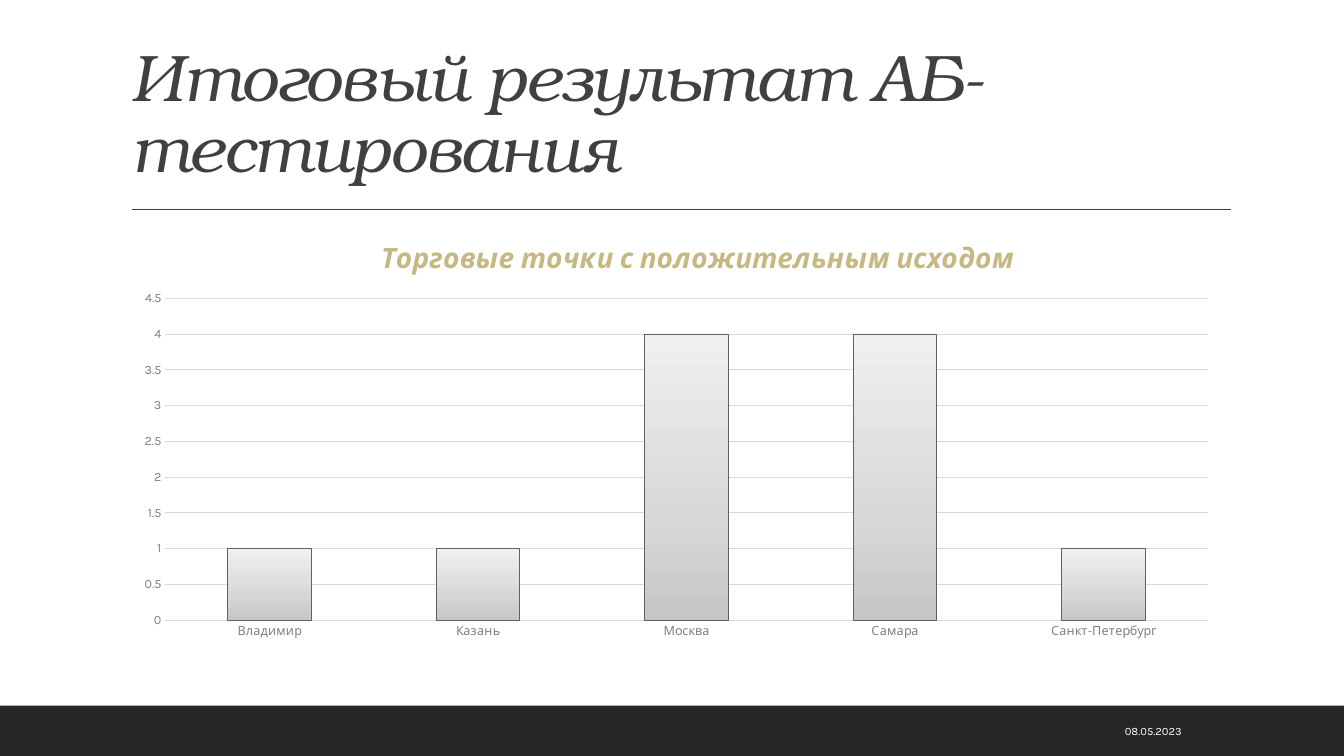
import pptx
import pptx.chart.data
import pptx.dml.color
import pptx.enum.chart
import pptx.enum.shapes
import pptx.enum.text
import pptx.oxml
import pptx.oxml.ns
import pptx.util
from dataclasses import dataclass
from lxml import etree

Inches = pptx.util.Inches
Pt = pptx.util.Pt
qn = pptx.oxml.ns.qn


@dataclass(frozen=True)
class Theme:
    title_font: str = "TeX Gyre Bonum"
    body_font: str = "Karla"
    title_size: float = 47
    chart_title_size: float = 20
    chart_size: float = 10
    axis_size: float = 9
    date_size: float = 8
    dark: str = "404040"
    footer: str = "262626"
    white: str = "FFFFFF"
    black: str = "000000"
    gold: str = "C5B883"
    axis: str = "808080"
    grid: str = "D9D9D9"
    bar_line: str = "616161"
    bar_stops: tuple = ((0, "C6C6C6"), (35, "D7D7D7"), (100, "F0F0F0"))


THEME = Theme()
CITIES = ["Владимир", "Казань", "Москва", "Самара", "Санкт-Петербург"]
POSITIVE_OUTLETS = [1, 1, 4, 4, 1]


def rgb(value):
    return pptx.dml.color.RGBColor.from_string(value)


def style_font(font, name, size, color, italic=None):
    font.name = name
    font.size = Pt(size)
    font.color.rgb = rgb(color)
    font.italic = italic


def add_footer_bar(slide):
    sp = slide.shapes.add_shape(
        pptx.enum.shapes.MSO_SHAPE.RECTANGLE,
        Inches(0), Inches(7), Inches(13.33), Inches(0.5))
    sp.shadow.inherit = False
    sp.fill.solid()
    sp.fill.fore_color.rgb = rgb(THEME.footer)
    sp.line.fill.background()


def add_rule(slide):
    line = slide.shapes.add_connector(
        pptx.enum.shapes.MSO_CONNECTOR.STRAIGHT,
        Inches(1.31), Inches(2.08), Inches(12.21), Inches(2.08))
    line.line.color.rgb = rgb(THEME.dark)
    line.line.width = Pt(1)
    etree.SubElement(line._element.spPr, qn("a:effectLst"))


def set_title(slide, text):
    sp = slide.shapes.title
    sp.left, sp.top = Inches(1.2), Inches(0.31)
    sp.width, sp.height = Inches(11), Inches(1.59)
    tf = sp.text_frame
    tf.text = text
    tf.word_wrap = True
    tf.auto_size = pptx.enum.text.MSO_AUTO_SIZE.NONE
    tf.vertical_anchor = pptx.enum.text.MSO_ANCHOR.BOTTOM
    p = tf.paragraphs[0]
    p.alignment = pptx.enum.text.PP_ALIGN.LEFT
    p.line_spacing = 0.9
    style_font(p.font, THEME.title_font, THEME.title_size, THEME.dark, True)
    p.runs[0]._r.get_or_add_rPr().set("spc", "-50")


def add_date(slide, text):
    sp = slide.shapes.add_textbox(
        Inches(8.99), Inches(7.05), Inches(2.83), Inches(0.4))
    tf = sp.text_frame
    tf.text = text
    tf.word_wrap = True
    tf.vertical_anchor = pptx.enum.text.MSO_ANCHOR.MIDDLE
    p = tf.paragraphs[0]
    p.alignment = pptx.enum.text.PP_ALIGN.RIGHT
    style_font(p.font, THEME.body_font, THEME.date_size, THEME.white)


def set_layout(parent, **settings):
    """Place a chart part by fractions of the chart area."""
    layout = parent.find(qn("c:layout"))
    if layout is None:
        layout = etree.Element(qn("c:layout"))
        parent.insert(0, layout)
    manual = etree.SubElement(layout, qn("c:manualLayout"))
    for name, value in settings.items():
        etree.SubElement(manual, qn("c:" + name)).set("val", str(value))


def style_axis(axis):
    axis.major_tick_mark = pptx.enum.chart.XL_TICK_MARK.NONE
    axis.minor_tick_mark = pptx.enum.chart.XL_TICK_MARK.NONE
    axis.format.line.fill.background()
    style_font(axis.tick_labels.font, THEME.body_font, THEME.axis_size,
               THEME.axis)


def style_bars(series):
    fill = series.format.fill
    fill.gradient()
    fill.gradient_angle = 90
    stops = next(series._element.iter(qn("a:gsLst")))
    for gs in list(stops):
        stops.remove(gs)
    for position, color in THEME.bar_stops:
        gs = etree.SubElement(stops, qn("a:gs"), pos=str(position * 1000))
        etree.SubElement(gs, qn("a:srgbClr"), val=color)
    series.format.line.color.rgb = rgb(THEME.bar_line)
    series.format.line.width = Pt(0.75)


def add_column_chart(slide, title, categories, values):
    data = pptx.chart.data.CategoryChartData()
    data.categories = categories
    data.add_series("Series 1", values)
    chart = slide.shapes.add_chart(
        pptx.enum.chart.XL_CHART_TYPE.COLUMN_CLUSTERED,
        Inches(1.2), Inches(2.15), Inches(11), Inches(4.26), data).chart
    style_font(chart.font, THEME.body_font, THEME.chart_size, THEME.black)
    chart.has_legend = False

    # Chart title
    chart.has_title = True
    tf = chart.chart_title.text_frame
    tf.text = title
    style_font(tf.paragraphs[0].font, THEME.body_font,
               THEME.chart_title_size, THEME.gold, True)
    chart.chart_title.include_in_layout = False
    set_layout(chart.chart_title._element,
               xMode="edge", yMode="edge", x=0.23, y=0.04)

    # Axes and plot area
    style_axis(chart.category_axis)
    value_axis = chart.value_axis
    style_axis(value_axis)
    value_axis.minimum_scale = 0
    value_axis.maximum_scale = 4.5
    value_axis.major_unit = 0.5
    value_axis.has_major_gridlines = True
    grid = value_axis.major_gridlines.format.line
    grid.color.rgb = rgb(THEME.grid)
    grid.width = Pt(0.75)
    set_layout(chart._chartSpace.chart.plotArea, layoutTarget="inner",
               xMode="edge", yMode="edge", x=0.04, y=0.19, w=0.94, h=0.75)

    # Bars
    plot = chart.plots[0]
    plot.gap_width = 150
    plot.vary_by_categories = False
    style_bars(plot.series[0])


def main():
    prs = pptx.Presentation()
    prs.slide_width = Inches(13.33)
    prs.slide_height = Inches(7.5)
    slide = prs.slides.add_slide(prs.slide_layouts.get_by_name("Title Only"))
    add_footer_bar(slide)
    add_rule(slide)
    set_title(slide, "Итоговый результат АБ-тестирования")
    add_date(slide, "08.05.2023")
    add_column_chart(slide, "Торговые точки с положительным исходом",
                     CITIES, POSITIVE_OUTLETS)
    prs.save("out.pptx")


if __name__ == "__main__":
    main()
